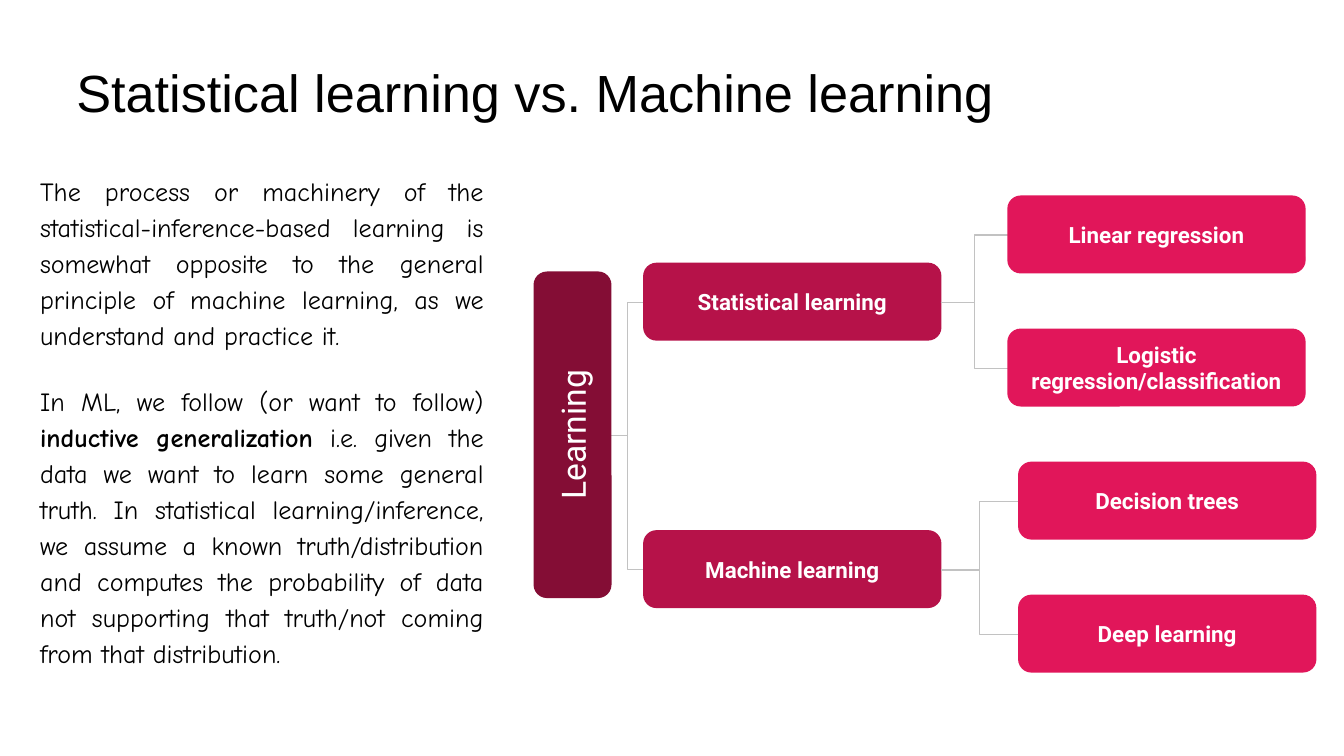
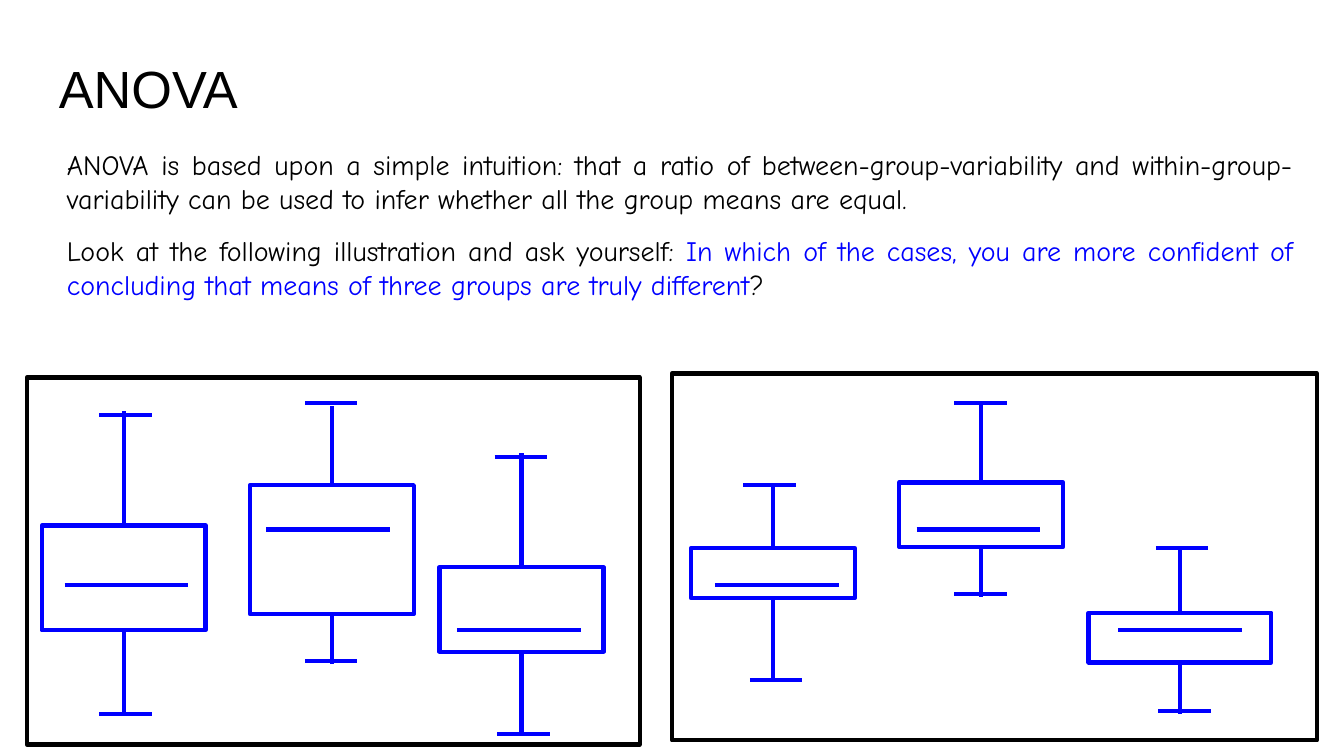
from dataclasses import dataclass
from typing import NamedTuple

from lxml.etree import SubElement
from pptx import Presentation
from pptx.dml.color import RGBColor
from pptx.enum.shapes import MSO_CONNECTOR as Link, MSO_SHAPE as Preset
from pptx.enum.text import MSO_ANCHOR as Anchor, PP_ALIGN as Align
from pptx.oxml.ns import qn
from pptx.shapes.autoshape import Shape
from pptx.slide import Slide
from pptx.text.text import TextFrame
from pptx.util import Pt

# Shared scale, colours and fonts
PX = 9144  # 100 px to the inch
SLIDE_WIDTH = 1000
INSET = 10

BLACK = RGBColor(0x00, 0x00, 0x00)
WHITE = RGBColor(0xFF, 0xFF, 0xFF)
BLUE = RGBColor(0x00, 0x00, 0xFF)
GREY = RGBColor(0xC2, 0xC2, 0xC2)
MAROON = RGBColor(0x84, 0x0D, 0x35)
CRIMSON = RGBColor(0xB6, 0x12, 0x49)
PINK = RGBColor(0xE1, 0x16, 0x5A)

TITLE_FONT, BODY_FONT, NODE_FONT = "Arial", "Comic Neue", "Roboto"
THIN, THICK = 0.75, 2.25


class Area(NamedTuple):
    left: int
    top: int
    width: int
    height: int

    @property
    def right(self) -> int:
        return self.left + self.width

    @property
    def bottom(self) -> int:
        return self.top + self.height

    @property
    def center(self) -> int:
        return self.left + self.width // 2

    @property
    def middle(self) -> int:
        return self.top + (self.height + 1) // 2


class Phrase(NamedTuple):
    text: str
    color: RGBColor = BLACK
    bold: bool = False


@dataclass(frozen=True)
class Branch:
    label: str
    top: int
    leaf_left: int
    leaf_top: int
    leaves: tuple[str, ...]


class Whisker(NamedTuple):
    tip: int
    cap_left: int
    cap_y: int


@dataclass(frozen=True)
class BoxPlot:
    box: Area
    upper: Whisker
    lower: Whisker
    median_left: int
    median_y: int


# Drawing helpers
def set_insets(frame: TextFrame) -> None:
    frame.word_wrap = True
    frame.margin_left = frame.margin_right = INSET * PX
    frame.margin_top = frame.margin_bottom = INSET * PX


def add_text(slide: Slide, area: Area, paragraphs: list[list[Phrase]], font: str,
             size: int, align: Align = Align.LEFT, line_spacing: float = 1.0,
             gap: int = 0) -> None:
    frame = slide.shapes.add_textbox(*(n * PX for n in area)).text_frame
    set_insets(frame)
    for index, phrases in enumerate(paragraphs):
        paragraph = frame.add_paragraph() if index else frame.paragraphs[0]
        paragraph.alignment = align
        paragraph.line_spacing = line_spacing
        if index:
            paragraph.space_before = paragraph.space_after = Pt(gap)
        for phrase in phrases:
            run = paragraph.add_run()
            run.text = phrase.text
            run.font.name, run.font.size = font, Pt(size)
            run.font.bold = phrase.bold
            run.font.color.rgb = phrase.color


def add_title(slide: Slide, left: int, top: int, text: str) -> None:
    add_text(slide, Area(left, top, 932, 63), [[Phrase(text)]], TITLE_FONT, 28)


def add_outline(slide: Slide, area: Area, color: RGBColor) -> None:
    outline = slide.shapes.add_shape(Preset.RECTANGLE, *(n * PX for n in area))
    outline.shadow.inherit = False
    outline.fill.background()
    outline.line.color.rgb = color
    outline.line.width = Pt(THICK)


def add_node(slide: Slide, area: Area, label: str, color: RGBColor,
             size: int = 12, bold: bool = True) -> Shape:
    node = slide.shapes.add_shape(Preset.ROUNDED_RECTANGLE, *(n * PX for n in area))
    node.shadow.inherit = False
    node.fill.solid()
    node.fill.fore_color.rgb = color
    node.line.color.rgb = color
    node.line.width = Pt(THIN)
    frame = node.text_frame
    set_insets(frame)
    frame.vertical_anchor = Anchor.MIDDLE
    frame.text = label
    paragraph = frame.paragraphs[0]
    paragraph.alignment = Align.CENTER
    font = paragraph.runs[0].font
    font.name, font.size, font.bold = NODE_FONT, Pt(size), bold
    font.color.rgb = WHITE
    return node


def add_line(slide: Slide, x1: int, y1: int, x2: int, y2: int,
             color: RGBColor = BLUE, weight: float = THICK,
             kind: Link = Link.STRAIGHT) -> None:
    line = slide.shapes.add_connector(kind, x1 * PX, y1 * PX, x2 * PX, y2 * PX)
    line.line.color.rgb = color
    line.line.width = Pt(weight)
    SubElement(line._element.spPr, qn("a:effectLst"))


def add_elbow(slide: Slide, x1: int, y1: int, x2: int, y2: int) -> None:
    add_line(slide, x1, y1, x2, y2, GREY, THIN, Link.ELBOW)


# Slide 1: tree of learning methods
NODE_WIDTH, NODE_HEIGHT = 221, 57
BRANCH_LEFT, LEAF_STEP = 479, 99
ROOT = Area(305, 295, 242, NODE_HEIGHT)  # before its quarter turn
BRANCHES = (
    Branch("Statistical learning", 196, 750, 146,
           ("Linear regression", "Logistic regression/classification")),
    Branch("Machine learning", 395, 758, 344, ("Decision trees", "Deep learning")),
)
LEARNING_TEXT = [
    [Phrase("The process or machinery of the statistical-inference-based learning is "
            "somewhat opposite to the general principle of machine learning, as we "
            "understand and practice it.")],
    [Phrase("In ML, we follow (or want to follow) "),
     Phrase("inductive generalization", bold=True),
     Phrase(" i.e. given the data we want to learn some general truth. In statistical "
            "learning/inference, we assume a known truth/distribution and computes the "
            "probability of data not supporting that truth/not coming from that "
            "distribution.")],
]


def draw_branch(slide: Slide, branch: Branch) -> None:
    area = Area(BRANCH_LEFT, branch.top, NODE_WIDTH, NODE_HEIGHT)
    add_elbow(slide, ROOT.center + (NODE_HEIGHT + 1) // 2, ROOT.middle,
              area.left, area.middle)
    add_node(slide, area, branch.label, CRIMSON)
    for index, label in enumerate(branch.leaves):
        leaf = Area(branch.leaf_left, branch.leaf_top + index * LEAF_STEP,
                    NODE_WIDTH, NODE_HEIGHT)
        add_elbow(slide, area.right, area.middle, leaf.left, leaf.middle)
        add_node(slide, leaf, label, PINK)


def build_learning(slide: Slide) -> None:
    add_title(slide, 47, 35, "Statistical learning vs. Machine learning")
    add_text(slide, Area(20, 117, 350, 413), LEARNING_TEXT, BODY_FONT, 14,
             Align.JUSTIFY, 1.15, 16)
    for branch in BRANCHES:
        draw_branch(slide, branch)
    add_node(slide, ROOT, "Learning", MAROON, 18, False).rotation = 270


# Slide 2: two panels of box plots
CAP_WIDTH, MEDIAN_WIDTH = 39, 92
PANELS = (Area(20, 281, 456, 273), Area(500, 278, 480, 273))
BOX_PLOTS = (
    BoxPlot(Area(31, 391, 122, 78), Whisker(306, 74, 309), Whisker(531, 74, 531), 48, 435),
    BoxPlot(Area(186, 361, 122, 96), Whisker(302, 227, 300), Whisker(494, 227, 492), 198, 394),
    BoxPlot(Area(327, 422, 122, 63), Whisker(337, 368, 340), Whisker(546, 370, 546), 340, 469),
    BoxPlot(Area(514, 408, 122, 37), Whisker(361, 553, 361), Whisker(506, 558, 506), 532, 435),
    BoxPlot(Area(669, 359, 122, 48), Whisker(299, 710, 300), Whisker(444, 710, 442), 682, 394),
    BoxPlot(Area(810, 456, 136, 37), Whisker(408, 860, 408), Whisker(531, 862, 529), 832, 469),
)
ANOVA_TEXT = [
    [Phrase("ANOVA is based upon a simple intuition: that a ratio of "
            "between-group-variability and within-group-variability can be used to infer "
            "whether all the group means are equal.")],
    [Phrase("Look at the following illustration and ask yourself: "),
     Phrase("In which of the cases, you are more confident of concluding that means of "
            "three groups are truly different", BLUE),
     Phrase("?")],
]


def draw_box_plot(slide: Slide, plot: BoxPlot) -> None:
    box = plot.box
    add_outline(slide, box, BLUE)
    for edge, whisker in ((box.top, plot.upper), (box.bottom, plot.lower)):
        add_line(slide, box.center, edge, box.center, whisker.tip)
        add_line(slide, whisker.cap_left, whisker.cap_y,
                 whisker.cap_left + CAP_WIDTH, whisker.cap_y)
    add_line(slide, plot.median_left, plot.median_y,
             plot.median_left + MEDIAN_WIDTH, plot.median_y)


def build_anova(slide: Slide) -> None:
    add_title(slide, 34, 32, "ANOVA")
    add_text(slide, Area(40, 100, 932, 134), ANOVA_TEXT, BODY_FONT, 15,
             Align.JUSTIFY, gap=10)
    for panel in PANELS:
        add_outline(slide, panel, BLACK)
    for plot in BOX_PLOTS:
        draw_box_plot(slide, plot)


def main() -> None:
    deck = Presentation()
    deck.slide_width = SLIDE_WIDTH * PX
    deck.slide_height = SLIDE_WIDTH * PX * 9 // 16  # widescreen
    blank = deck.slide_layouts[6]
    for build in (build_learning, build_anova):
        build(deck.slides.add_slide(blank))
    deck.save("out.pptx")


if __name__ == "__main__":
    main()
